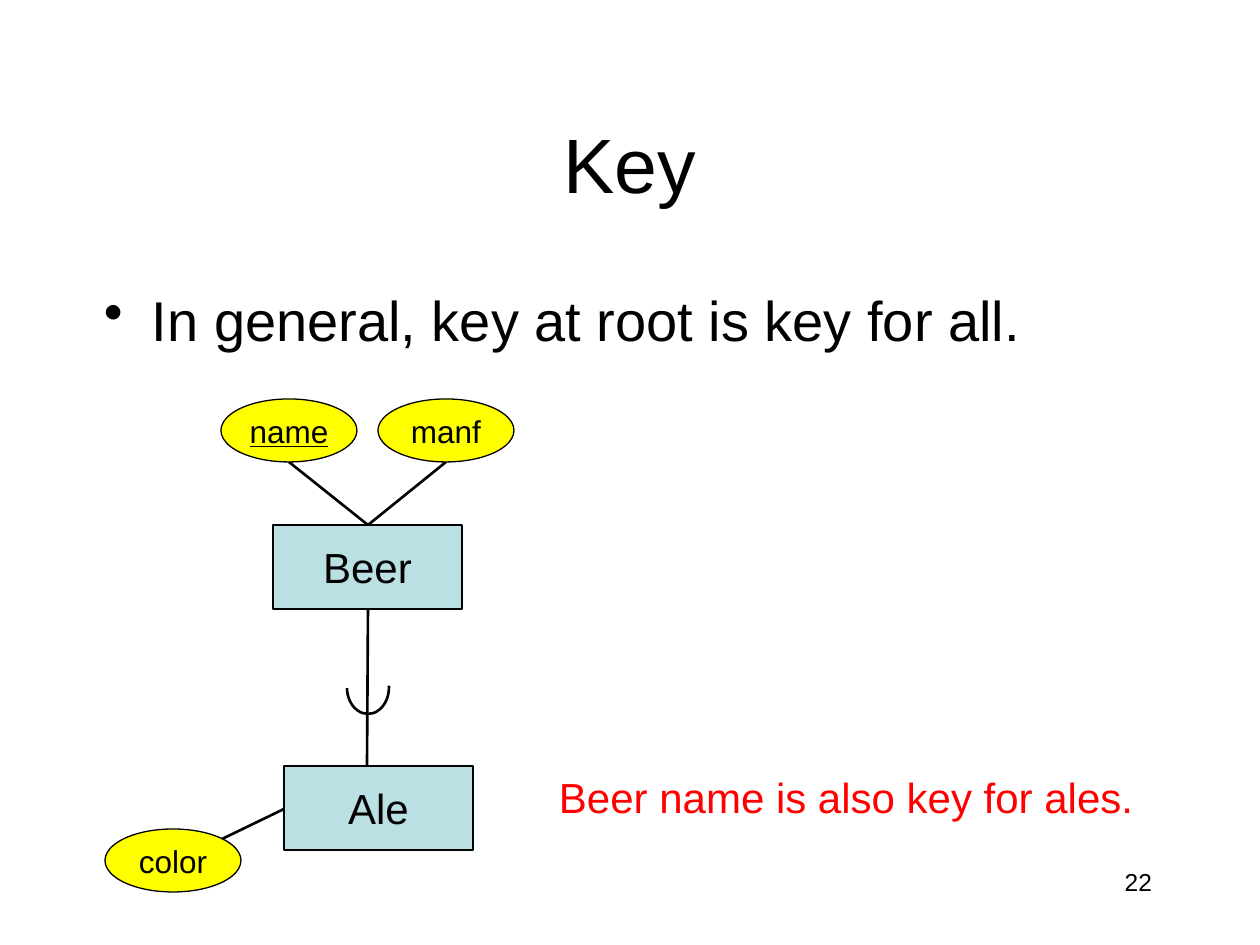
"""Build the slide on keys in an entity hierarchy."""
from lxml import etree
from pptx import Presentation
from pptx.dml.color import RGBColor
from pptx.enum.shapes import MSO_CONNECTOR, MSO_SHAPE
from pptx.enum.text import MSO_ANCHOR, PP_ALIGN
from pptx.oxml.ns import qn
from pptx.util import Emu, Pt

BLACK = RGBColor(0x00, 0x00, 0x00)
RED = RGBColor(0xFF, 0x00, 0x00)
YELLOW = RGBColor(0xFF, 0xFF, 0x00)
PALE_BLUE = RGBColor(0xBB, 0xE0, 0xE3)
LEFT, CENTER, RIGHT = PP_ALIGN.LEFT, PP_ALIGN.CENTER, PP_ALIGN.RIGHT
TOP, MIDDLE = MSO_ANCHOR.TOP, MSO_ANCHOR.MIDDLE
RECTANGLE, OVAL, ARC = MSO_SHAPE.RECTANGLE, MSO_SHAPE.OVAL, MSO_SHAPE.ARC
STRAIGHT = MSO_CONNECTOR.STRAIGHT

FONT = "Arial"
PX_PER_INCH = 126
INDENT = 48
INSETS = (13, 6)
BULLET_INSETS = (10, 13)
ENTITY_SIZE = (189, 84)
ATTRIBUTE_SIZE = (136, 63)
ARC_ANGLES = (355, 178)

TITLE = ("Key", (94, 84, 1071, 158), 44, BLACK, CENTER, MIDDLE, INSETS)
BULLET = ("In general, key at root is key for all.",
          (94, 273, 1071, 567), 32, BLACK, LEFT, TOP, BULLET_INSETS)
NUMBER = ("22", (903, 861, 262, 63), 14, BLACK, RIGHT, TOP, INSETS)
NOTE = ("Beer name is also key for ales.",
        (546, 766, 630, 63), 24, RED, LEFT, TOP, INSETS)
ENTITIES = [("Beer", 273, 525), ("Ale", 284, 766)]
ATTRIBUTES = [("name", 221, 399, True), ("manf", 378, 399, False),
              ("color", 105, 829, False)]
SUBCLASS_ARC = (347, 661, 42, 53)
LINES = [(368, 609, 367, 767), (289, 462, 368, 525),
         (446, 462, 368, 525), (222, 839, 284, 809)]


def px(length):
    return Emu(round(length * 914400 / PX_PER_INCH))


def write(shape, text, size, color, align, anchor, insets, wrap):
    frame = shape.text_frame
    frame.word_wrap = wrap
    frame.vertical_anchor = anchor
    frame.margin_left = frame.margin_right = px(insets[0])
    frame.margin_top = frame.margin_bottom = px(insets[1])
    para = frame.paragraphs[0]
    para.text = text
    para.alignment = align
    para.font.name = FONT
    para.font.size = Pt(size)
    para.font.color.rgb = color
    return para


def add_text(slide, text, place, size, color, align, anchor, insets):
    box = slide.shapes.add_textbox(*map(px, place))
    return write(box, text, size, color, align, anchor, insets, True)


def add_bullet(para):
    properties = para._p.get_or_add_pPr()
    properties.set("marL", str(px(INDENT)))
    properties.set("indent", str(-px(INDENT)))
    bullet = etree.Element(qn("a:buChar"), char="•")
    properties.insert(0, bullet)


def add_outline(slide, kind, place, line_width):
    shape = slide.shapes.add_shape(kind, *map(px, place))
    shape.shadow.inherit = False
    shape.line.color.rgb = BLACK
    shape.line.width = Pt(line_width)
    return shape


def add_node(slide, kind, text, place, fill, line_width, size):
    shape = add_outline(slide, kind, place, line_width)
    shape.fill.solid()
    shape.fill.fore_color.rgb = fill
    return write(shape, text, size, BLACK, CENTER, MIDDLE, INSETS, False)


def add_line(slide, ends):
    line = slide.shapes.add_connector(STRAIGHT, *map(px, ends))
    line.line.color.rgb = BLACK
    line.line.width = Pt(1.5)
    etree.SubElement(line._element.spPr, qn("a:effectLst"))


def main():
    deck = Presentation()
    deck.slide_width, deck.slide_height = px(1260), px(945)
    slide = deck.slides.add_slide(deck.slide_layouts[6])

    add_text(slide, *TITLE)
    add_bullet(add_text(slide, *BULLET))
    add_text(slide, *NUMBER)
    for ends in LINES:
        add_line(slide, ends)
    for text, left, top in ENTITIES:
        add_node(slide, RECTANGLE, text, (left, top, *ENTITY_SIZE),
                 PALE_BLUE, 1.5, 24)
    for text, left, top, is_key in ATTRIBUTES:
        para = add_node(slide, OVAL, text, (left, top, *ATTRIBUTE_SIZE),
                        YELLOW, 0.75, 18)
        if is_key:
            para.runs[0].font.underline = True
    arc = add_outline(slide, ARC, SUBCLASS_ARC, 1.5)
    arc.fill.background()
    for index, degrees in enumerate(ARC_ANGLES):
        arc.adjustments[index] = degrees * 0.6
    add_text(slide, *NOTE)
    deck.save("out.pptx")


if __name__ == "__main__":
    main()
